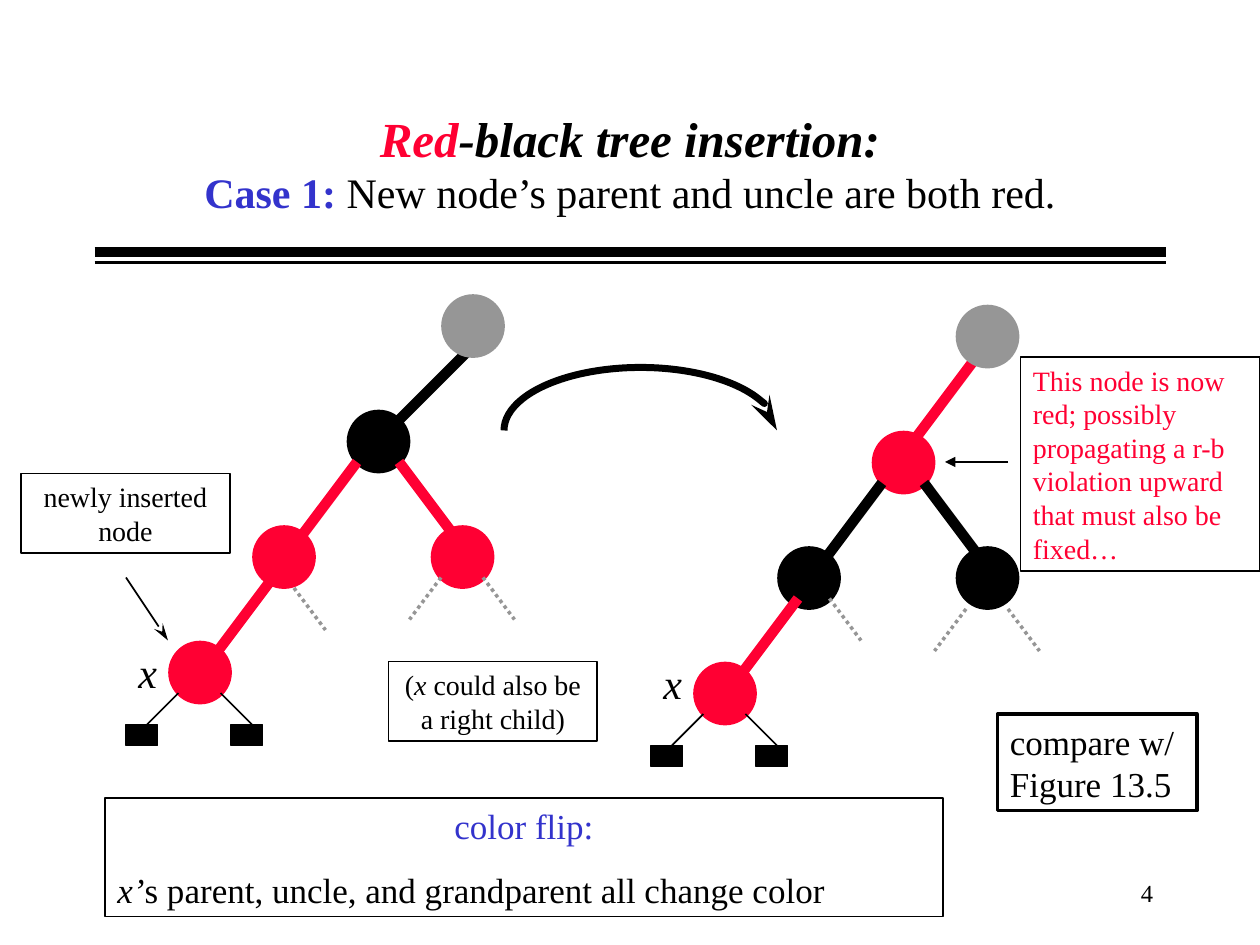
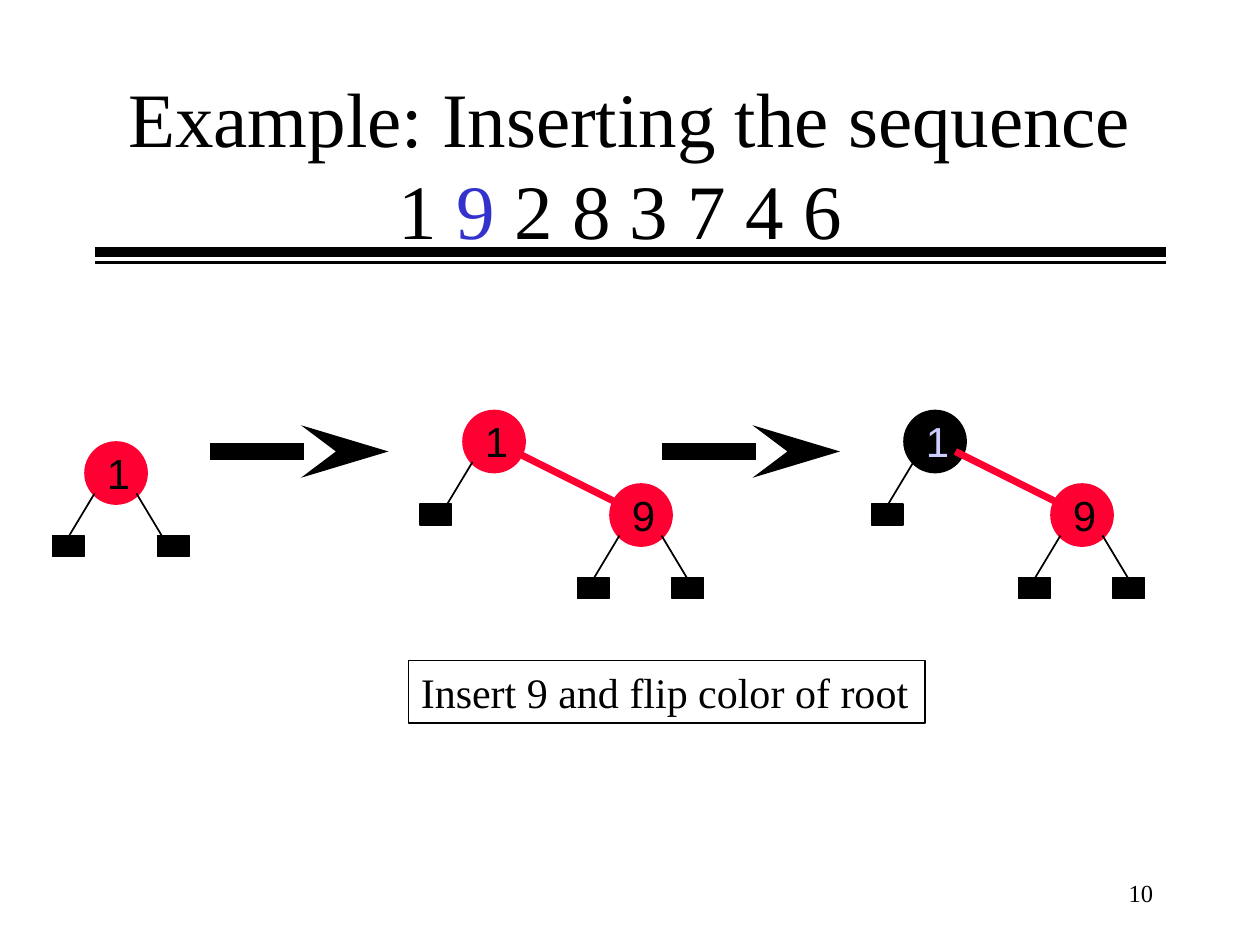
"""Build two slides on red-black tree insertion."""
from lxml.etree import SubElement
from pptx import Presentation
from pptx.dml.color import RGBColor
from pptx.enum.dml import MSO_LINE as Dash
from pptx.enum.shapes import MSO_CONNECTOR as Link, MSO_SHAPE as Kind
from pptx.enum.text import MSO_ANCHOR as Anchor, PP_ALIGN as Align
from pptx.oxml.ns import qn
from pptx.util import Pt

PX = 7620
BLACK, WHITE, RED, BLUE, GREY, LILAC = "000000", "FFFFFF", "FF0033", "3333CC", "969696", "CCCCFF"
SERIF, SANS = "Times New Roman", "Arial"
color = RGBColor.from_string


def add_block(page, kind, place, fill=None, edge=None, weight=1, paras=(),
              size=24, face=SERIF, align=Align.LEFT, anchor=Anchor.TOP, gap=0):
    """Add a preset shape, or a text box when kind is None."""
    place = [n * PX for n in place]
    if kind is None:
        box = page.shapes.add_textbox(*place)
    else:
        box = page.shapes.add_shape(kind, *place)
        box.shadow.inherit = False
    if fill:
        box.fill.solid()
        box.fill.fore_color.rgb = color(fill)
    else:
        box.fill.background()
    if edge:
        box.line.color.rgb = color(edge)
        box.line.width = Pt(weight)
    else:
        box.line.fill.background()
    frame = box.text_frame
    frame.word_wrap = True
    frame.vertical_anchor = anchor
    for index, spans in enumerate(paras):
        para = frame.add_paragraph() if index else frame.paragraphs[0]
        para.alignment = align
        if index and gap:
            para.space_before = Pt(gap)
        for text, ink, extra in spans:
            span = para.add_run()
            span.text = text
            span.font.color.rgb = color(ink)
            for name, value in {"name": face, "size": Pt(size), **extra}.items():
                setattr(span.font, name, value)
    return box


def draw_line(page, ends, ink=BLACK, weight=1, dash=None):
    """Draw a straight connector through x1, y1, x2, y2."""
    link = page.shapes.add_connector(Link.STRAIGHT, *[n * PX for n in ends])
    link.line.color.rgb = color(ink)
    link.line.width = Pt(weight)
    if dash:
        link.line.dash_style = dash
    SubElement(link._element.spPr, qn("a:effectLst"))
    return link


deck = Presentation()
deck.slide_width, deck.slide_height = 1200 * PX, 900 * PX
ITALIC, PLAIN = {"italic": True}, {}
arrows = []

headings = [
    ("4", 28, [
        [("Red", RED, {"bold": True, "italic": True}),
         ("-black tree insertion:", BLACK, {"bold": True, "italic": True})],
        [("Case 1:", BLUE, {"bold": True, "size": Pt(24)}),
         (" New node’s parent and uncle are both red.", BLACK, {"size": Pt(24)})]]),
    ("10", 44, [
        [("Example: Inserting the sequence 1 ", BLACK, PLAIN), ("9", BLUE, PLAIN),
         (" 2 8 3 7 4 6 ", BLACK, PLAIN)]]),
]
pages = []
for number, size, title in headings:
    page = deck.slides.add_slide(deck.slide_layouts[6])
    pages.append(page)
    for y, weight in [(240, 6), (250, 2)]:
        draw_line(page, (90, y, 1110, y), BLACK, weight)
    add_block(page, None, (90, 80, 1020, 150), paras=title, size=size,
              align=Align.CENTER, anchor=Anchor.MIDDLE)
    add_block(page, None, (860, 820, 250, 60), paras=[[(number, BLACK, PLAIN)]],
              size=14, align=Align.RIGHT, anchor=Anchor.MIDDLE)
flip_page, example_page = pages

# columns: shift, grandparent, parent and uncle, top edge, lower edges, root, label, dotted stubs
trees = [
    (0, 0, BLACK, RED, (460, 320, 380, 400), (421, 281), (120, 610),
     [(280, 560, 30), (460, 550, 30), (420, 550, -30)]),
    (500, 20, RED, BLACK, (930, 340, 870, 420), (911, 291), (620, 620),
     [(790, 570, 30), (960, 580, 30), (920, 580, -30)]),
]
for dx, dy, grandparent, parent, top_edge, root, label, stubs in trees:
    for x, y, fill in [(331, 391, grandparent), (241, 501, parent),
                       (411, 501, parent), (161, 611, RED)]:
        add_block(flip_page, Kind.OVAL, (x + dx, y + dy, 59, 59), fill, fill)
    for x, y, reach, ink in [(340, 440, -60, parent), (380, 440, 60, parent),
                             (260, 550, -60, RED)]:
        x, y = x + dx, y + dy
        draw_line(flip_page, (x, y, x + reach, y + 80), ink, 6)
    draw_line(flip_page, top_edge, grandparent, 6)
    add_block(flip_page, Kind.OVAL, (*root, 59, 59), GREY, GREY)
    for x, y, reach in stubs:
        draw_line(flip_page, (x, y, x + reach, y + 40), GREY, 2, Dash.ROUND_DOT)
    for x, reach, leaf in [(170, -30, 120), (210, 30, 220)]:
        x, y = x + dx, 660 + dy
        draw_line(flip_page, (x, y, x + reach, y + 30))
        add_block(flip_page, Kind.RECTANGLE, (leaf + dx, y + 30, 30, 20), BLACK, BLACK)
    add_block(flip_page, None, (*label, 80, 60), paras=[[("x", BLACK, ITALIC)]])

turn = add_block(flip_page, Kind.ARC, (480, 350, 260, 120), edge=BLACK, weight=4)
turn.adjustments[0], turn.adjustments[1] = 108, 0
arrows.append((turn, "stealth", "lg"))
arrows.append((draw_line(flip_page, (120, 550, 160, 610)), "stealth", "lg"))
arrows.append((draw_line(flip_page, (960, 440, 900, 440)), "triangle", "med"))

notes = [
    ((100, 760, 798, 113), 20, 1, Align.LEFT, None,
     [[("color flip:", BLUE, PLAIN)],
      [("x’", BLACK, ITALIC),
       ("s parent, uncle, and grandparent all change color", BLACK, PLAIN)]]),
    ((20, 451, 199, 76), 16, 1, Align.CENTER, None,
     [[("newly inserted node", BLACK, PLAIN)]]),
    ((972, 340, 228, 204), 16, 1, Align.LEFT, WHITE,
     [[("This node is now red; possibly propagating a r-b violation upward "
        "that must also be fixed…", RED, PLAIN)]]),
    ((370, 630, 199, 76), 16, 1, Align.CENTER, None,
     [[("(", BLACK, PLAIN), ("x", BLACK, ITALIC),
       (" could also be a right child)", BLACK, PLAIN)]]),
    ((950, 680, 190, 92), 20, 2, Align.LEFT, None,
     [[("compare w/ Figure 13.5", BLACK, PLAIN)]]),
]
for place, size, weight, align, fill, paras in notes:
    note = add_block(flip_page, None, place, fill, BLACK, weight, paras, size,
                     align=align, gap=12.5)
    if len(paras) > 1:
        note.text_frame.paragraphs[0].alignment = Align.CENTER

nodes = [
    (80, 420, "1", RED, BLACK, (-30, 70)),
    (440, 390, "1", RED, BLACK, (-40,)),
    (580, 460, "9", RED, BLACK, (-30, 60)),
    (860, 390, "1", BLACK, LILAC, (-30,)),
    (1000, 460, "9", RED, BLACK, (-30, 60)),
]
for x, y, key, fill, ink, leaves in nodes:
    add_block(example_page, Kind.OVAL, (x + 1, y + 1, 59, 59), fill, fill)
    add_block(example_page, None, (x + 10, y, 90, 60),
              paras=[[(key, ink, PLAIN)]], face=SANS)
    for leaf, (start, stop) in zip(leaves, [(10, -20), (50, 80)]):
        draw_line(example_page, (x + start, y + 50, x + stop, y + 100))
        add_block(example_page, Kind.RECTANGLE, (x + leaf, y + 90, 30, 20), BLACK, BLACK)
for x in (490, 910):
    draw_line(example_page, (x, 430, x + 100, 480), RED, 4)
for x in (200, 630):
    step = draw_line(example_page, (x, 430, x + 170, 430), BLACK, 10)
    arrows.append((step, "stealth", "lg"))
add_block(example_page, None, (389, 629, 492, 60), edge=BLACK,
          paras=[[("Insert 9 and flip color of root", BLACK, PLAIN)]])

for arrow, head, length in arrows:
    stroke = arrow._element.spPr.find(qn("a:ln"))
    SubElement(stroke, qn("a:tailEnd"), type=head, w="med", len=length)

deck.save("out.pptx")
